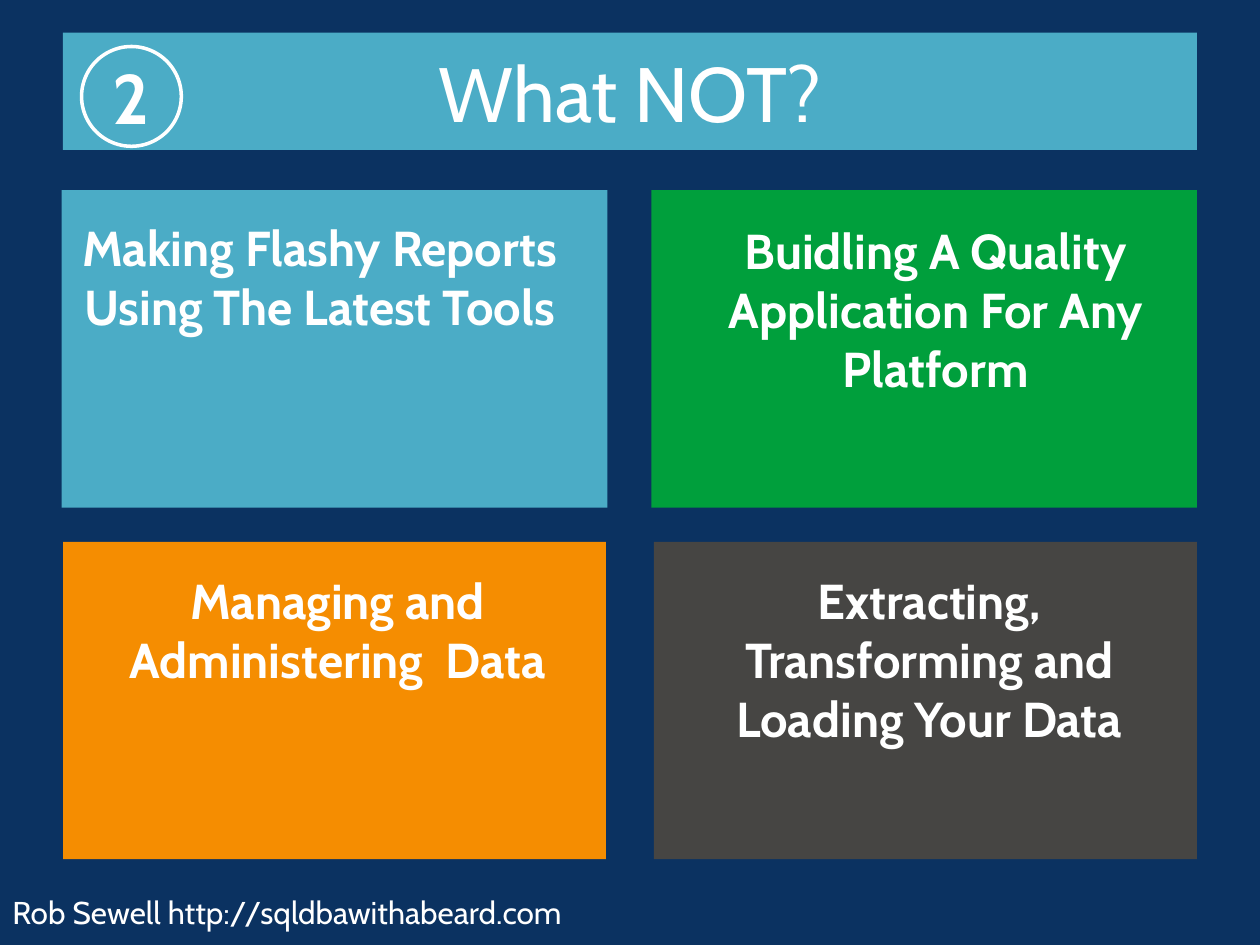
from dataclasses import dataclass

from pptx import Presentation
from pptx.dml.color import RGBColor
from pptx.enum.shapes import MSO_SHAPE
from pptx.enum.text import MSO_ANCHOR, PP_ALIGN
from pptx.util import Pt

RECTANGLE, OVAL = MSO_SHAPE.RECTANGLE, MSO_SHAPE.OVAL
TOP, MIDDLE = MSO_ANCHOR.TOP, MSO_ANCHOR.MIDDLE
LEFT, CENTER = PP_ALIGN.LEFT, PP_ALIGN.CENTER


@dataclass(frozen=True)
class Theme:
    """Colours, typeface and type sizes of the slide."""
    font: str = "Cabin"
    navy: str = "0B3261"
    blue: str = "4BACC6"
    green: str = "009F3C"
    orange: str = "F58D01"
    gray: str = "464543"
    white: str = "FFFFFF"
    title: int = 44
    number: int = 40
    card: int = 28
    footer: int = 18


THEME = Theme()


def color(value):
    """Turn a hex string into a colour."""
    return RGBColor.from_string(value)


def set_attributes(target, values):
    """Set each named attribute on the target."""
    for name, value in values.items():
        setattr(target, name, value)


def write_text(shape, lines, size, bold=False, align=CENTER, **frame_format):
    """Write one paragraph per line in the theme font."""
    frame = shape.text_frame
    set_attributes(frame, {"word_wrap": True, "vertical_anchor": TOP, **frame_format})
    frame.text = "\n".join(lines)
    for paragraph in frame.paragraphs:
        paragraph.alignment = align
        set_attributes(paragraph.font, {"name": THEME.font, "size": Pt(size), "bold": bold})
        paragraph.font.color.rgb = color(THEME.white)


def add_panel(slide, box, fill):
    """Add a plain filled rectangle."""
    shape = slide.shapes.add_shape(RECTANGLE, *map(Pt, box))
    shape.shadow.inherit = False
    shape.fill.solid()
    shape.fill.fore_color.rgb = color(fill)
    shape.line.fill.background()
    return shape


def add_label(slide, box, lines, size, **text_format):
    """Add a text box."""
    label = slide.shapes.add_textbox(*map(Pt, box))
    write_text(label, lines, size, **text_format)


def add_number_badge(slide, box, number):
    """Add an outlined circle holding a number."""
    badge = slide.shapes.add_shape(OVAL, *map(Pt, box))
    badge.shadow.inherit = False
    badge.fill.background()
    badge.line.color.rgb = color(THEME.white)
    badge.line.width = Pt(2)
    margins = dict.fromkeys(
        ("margin_left", "margin_top", "margin_right", "margin_bottom"), 0)
    write_text(badge, [number], THEME.number, bold=True, vertical_anchor=MIDDLE, **margins)


def main():
    """Build and save the slide."""
    presentation = Presentation()
    set_attributes(presentation, {"slide_width": Pt(720), "slide_height": Pt(540)})
    slide = presentation.slides.add_slide(presentation.slide_layouts[6])
    slide.background.fill.solid()
    slide.background.fill.fore_color.rgb = color(THEME.navy)

    add_label(slide, (0, 506.9, 612, 24.5), ["Rob Sewell http://sqldbawithabeard.com"],
              THEME.footer, align=LEFT)

    upper, lower, height = 108.7, 309.6, 181.4
    cards = [
        ((35.3, upper, 311.8, height), THEME.blue, (38.2, 121, 288.7, 74.9),
         ["Making Flashy Reports ", "Using The Latest Tools"], False),
        ((372.2, upper, 311.8, height), THEME.green, (401.8, 122.4, 265.7, 108.7),
         ["Buidling A Quality Application For Any Platform"], True),
        ((36, lower, 310.3, height), THEME.orange, (54, 322.6, 277.9, 74.9),
         ["Managing and Administering  Data"], True),
        ((373.7, lower, 310.3, height), THEME.gray, (393.8, 322.6, 274.3, 108.7),
         ["Extracting, Transforming and Loading Your Data"], True),
    ]
    for panel_box, fill, label_box, lines, wrap in cards:
        add_panel(slide, panel_box, fill)
        add_label(slide, label_box, lines, THEME.card, bold=True, word_wrap=wrap)

    title_bar = add_panel(slide, (36, 18.7, 648, 67), THEME.blue)
    write_text(title_bar, ["What NOT?"], THEME.title, vertical_anchor=MIDDLE)
    add_number_badge(slide, (46.6, 26.6, 57, 57), "2")
    presentation.save("out.pptx")


if __name__ == "__main__":
    main()
